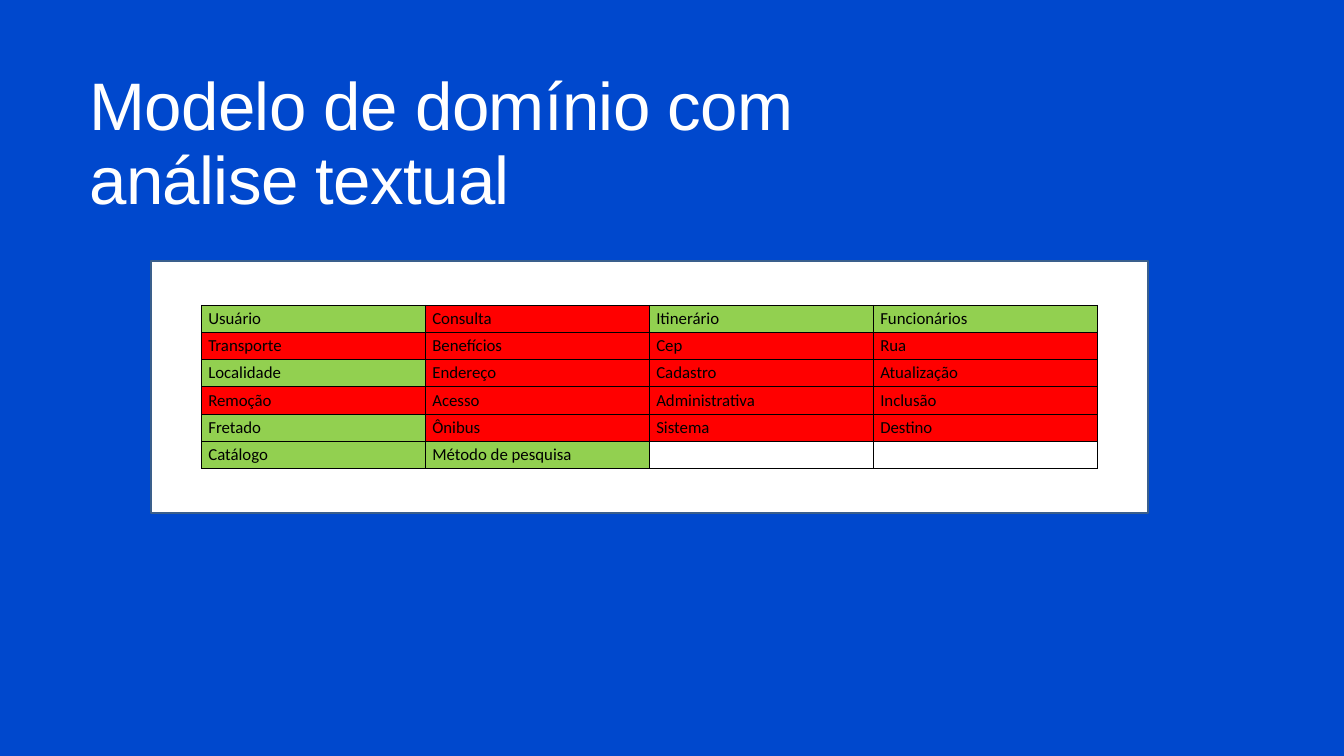
from lxml.etree import SubElement
from pptx import Presentation
from pptx.dml.color import RGBColor
from pptx.enum.shapes import MSO_SHAPE as Shape
from pptx.enum.text import MSO_ANCHOR as Anchor
from pptx.oxml.ns import qn
from pptx.util import Pt

COLORS = {
    "background": "0048CD",
    "white": "FFFFFF",
    "black": "000000",
    "frame": "3A5F8C",
    "accepted": "92D050",
    "rejected": "FF0000",
}

CANDIDATES = [
    ["Usuário", "Consulta", "Itinerário", "Funcionários"],
    ["Transporte", "Benefícios", "Cep", "Rua"],
    ["Localidade", "Endereço", "Cadastro", "Atualização"],
    ["Remoção", "Acesso", "Administrativa", "Inclusão"],
    ["Fretado", "Ônibus", "Sistema", "Destino"],
    ["Catálogo", "Método de pesquisa", "", ""],
]
ACCEPTED = {"Usuário", "Itinerário", "Funcionários", "Localidade",
            "Fretado", "Catálogo", "Método de pesquisa"}


def color(name):
    return RGBColor.from_string(COLORS[name])


def write_text(frame, text, font="Calibri", size=18, ink="black",
               line_spacing=None, tracking=None):
    paragraph = frame.paragraphs[0]
    if line_spacing:
        paragraph.line_spacing = Pt(line_spacing)
    if not text:
        paragraph.font.size = Pt(size)
        return
    run = paragraph.add_run()
    run.text = text
    run.font.name = font
    run.font.size = Pt(size)
    run.font.color.rgb = color(ink)
    if tracking:
        run.font._element.set("spc", str(round(tracking * 100)))


class SlideBuilder:
    def __init__(self, slide):
        self.slide = slide

    def background(self, name):
        fill = self.slide.background.fill
        fill.solid()
        fill.fore_color.rgb = color(name)

    def panel(self, left, top, width, height, fill, line, line_width):
        shape = self.slide.shapes.add_shape(
            Shape.RECTANGLE, Pt(left), Pt(top), Pt(width), Pt(height))
        shape.shadow.inherit = False
        shape.fill.solid()
        shape.fill.fore_color.rgb = color(fill)
        shape.line.color.rgb = color(line)
        shape.line.width = Pt(line_width)

    def text(self, left, top, width, height, text, **style):
        shape = self.slide.shapes.add_textbox(
            Pt(left), Pt(top), Pt(width), Pt(height))
        frame = shape.text_frame
        frame.word_wrap = True
        frame.vertical_anchor = Anchor.TOP
        frame.margin_left = frame.margin_right = 0
        frame.margin_top = frame.margin_bottom = 0
        write_text(frame, text, **style)

    def cell_borders(self, cell, name, width):
        properties = cell._tc.get_or_add_tcPr()
        # Borders must come before the fill in the cell properties
        for index, side in enumerate(("lnL", "lnR", "lnT", "lnB")):
            border = SubElement(properties, qn(f"a:{side}"), w=str(Pt(width)))
            solid = SubElement(border, qn("a:solidFill"))
            SubElement(solid, qn("a:srgbClr"), val=COLORS[name])
            properties.insert(index, border)

    def table(self, left, top, column_width, row_height, rows):
        row_count, column_count = len(rows), len(rows[0])
        table = self.slide.shapes.add_table(
            row_count, column_count, Pt(left), Pt(top),
            Pt(column_width * column_count), Pt(row_height * row_count)).table
        table.first_row = table.horz_banding = False
        for column in table.columns:
            column.width = Pt(column_width)
        for row_index, words in enumerate(rows):
            table.rows[row_index].height = Pt(row_height)
            for column_index, word in enumerate(words):
                cell = table.cell(row_index, column_index)
                write_text(cell.text_frame, word)
                if word:
                    cell.fill.solid()
                    cell.fill.fore_color.rgb = color(
                        "accepted" if word in ACCEPTED else "rejected")
                else:
                    cell.fill.background()
                self.cell_borders(cell, "black", 1)


def main():
    presentation = Presentation()
    presentation.slide_width = Pt(1440)
    presentation.slide_height = Pt(810)
    builder = SlideBuilder(
        presentation.slides.add_slide(presentation.slide_layouts[6]))

    # Background and white panel
    builder.background("background")
    builder.panel(162, 280, 1068, 270, "white", "frame", 2)

    # Title
    builder.text(96, 75, 861, 160, "Modelo de domínio com análise textual",
                 font="Arial", size=72, ink="white",
                 line_spacing=79.2, tracking=-0.7)

    # Candidate classes: green accepted, red rejected
    builder.table(216, 327, 240, 29.16, CANDIDATES)

    presentation.save("out.pptx")


if __name__ == "__main__":
    main()
